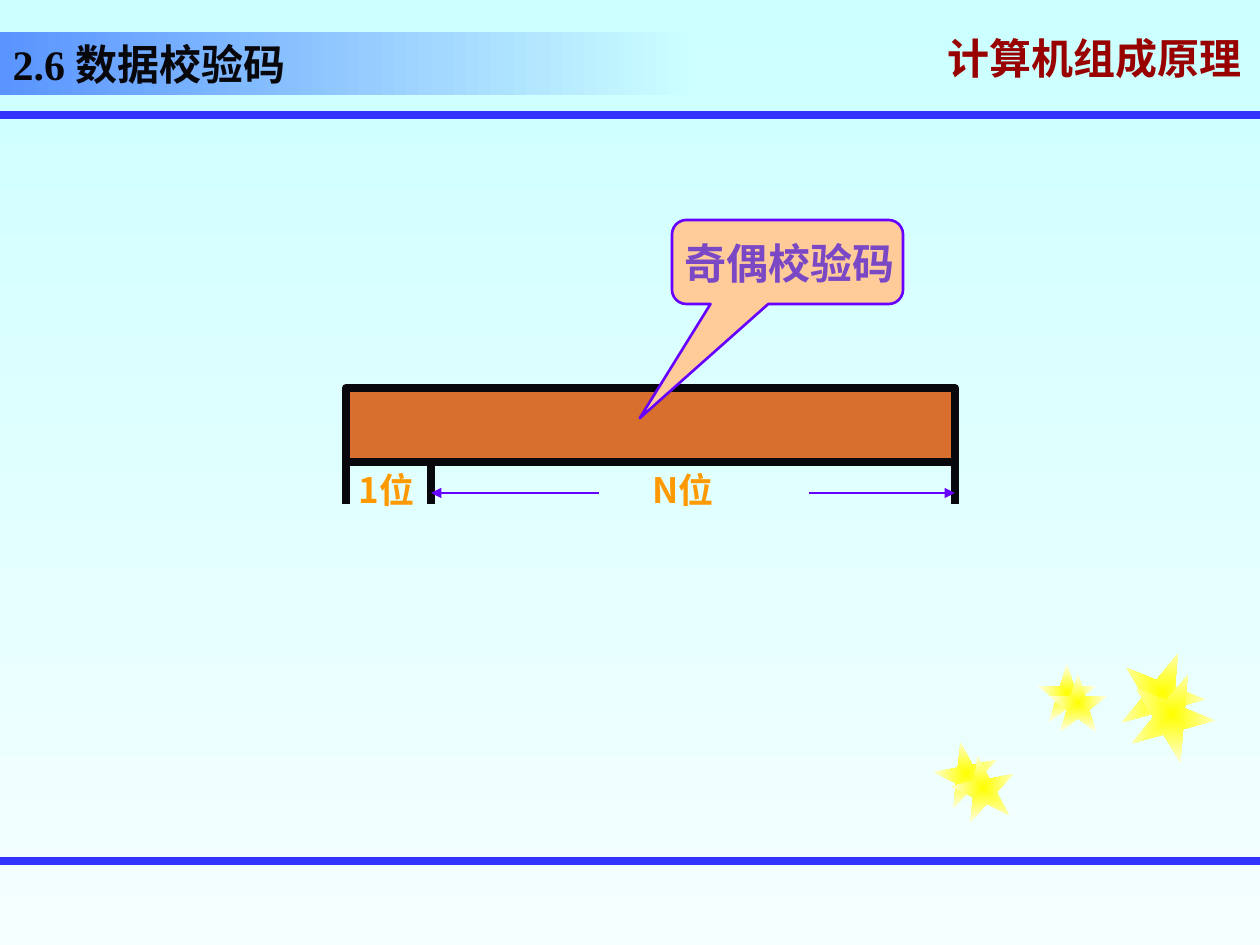
from dataclasses import dataclass

from lxml import etree
from pptx import Presentation
from pptx import util as u
from pptx.dml.color import RGBColor
from pptx.enum import shapes, text
from pptx.oxml.ns import qn

PX = 914400 / 126
WIDTH, HEIGHT = 1260, 945
TITLE_ONLY = 5

CJK, LATIN = "Noto Sans CJK SC", "Times New Roman"
INK = RGBColor(0x08, 0x08, 0x0C)
BLUE = RGBColor(0x33, 0x33, 0xFF)
VIOLET = RGBColor(0x66, 0x00, 0xFF)
PURPLE = RGBColor(0x7A, 0x48, 0xC4)
ORANGE = RGBColor(0xFF, 0x99, 0x00)
DARK_RED = RGBColor(0x99, 0x00, 0x00)
RUST = RGBColor(0xD8, 0x6F, 0x2E)
PEACH = RGBColor(0xFF, 0xCC, 0x99)
SKY = RGBColor(0xCC, 0xFF, 0xFF)
PALE_SKY = RGBColor(0xF5, 0xFF, 0xFF)
BANNER_BLUE = RGBColor(0x59, 0x94, 0xFF)
YELLOW = RGBColor(0xFF, 0xFF, 0x00)
CREAM = RGBColor(0xFF, 0xFF, 0xE9)


@dataclass(frozen=True)
class Area:
    left: int
    top: int
    width: int
    height: int

    def emu(self) -> list[u.Emu]:
        return [px(n) for n in (self.left, self.top, self.width, self.height)]


@dataclass(frozen=True)
class Line:
    x1: int
    y1: int
    x2: int
    y2: int
    color: RGBColor = INK
    weight: float = 4.5
    arrow: bool = False


@dataclass(frozen=True)
class Label:
    words: str
    area: Area
    size: int
    color: RGBColor
    font: str = CJK


@dataclass(frozen=True)
class StarPair:
    """Two equal stars, the second moved by (dx, dy)."""
    left: int
    top: int
    size: int
    dx: int
    dy: int
    rotation: int = 0


RULES = [Line(0, y, WIDTH, y, BLUE) for y in (115, 861)]
STARS = [
    StarPair(935, 742, 63, 17, 14, 349),
    StarPair(1038, 664, 58, 11, 10),
    StarPair(1120, 651, 84, 10, 21, 22),
]
WORD_BAR = Area(346, 388, 609, 74)
CALLOUT = Area(672, 220, 231, 84)
DIMENSIONS = [
    Line(431, 388, 431, 462),
    Line(431, 431, 431, 504),
    Line(955, 441, 955, 504),
    Line(346, 441, 346, 504),
    Line(809, 493, 955, 493, VIOLET, 1.5, arrow=True),
    Line(599, 493, 431, 493, VIOLET, 1.5, arrow=True),
]
BIT_LABELS = [
    Label("N位", Area(640, 462, 147, 55), 20, ORANGE),
    Label("1位", Area(346, 462, 147, 55), 20, ORANGE),
]
COURSE = Label("计算机组成原理", Area(935, 32, 325, 63), 24, DARK_RED)
CALLOUT_LABEL = Label("奇偶校验码", Area(672, 231, 273, 63), 24, PURPLE, LATIN)


def px(n: int) -> u.Emu:
    return u.Emu(round(n * PX))


def paint_gradient(fill, first: RGBColor, last: RGBColor, angle: int = 0) -> None:
    fill.gradient()
    fill.gradient_angle = angle
    for stop, color, position in zip(fill.gradient_stops, (first, last), (0, 1)):
        stop.color.rgb = color
        stop.position = position


def add_span(para, words: str, size: int, color: RGBColor, font: str):
    span = para.add_run()
    span.text = words
    span.font.size = u.Pt(size)
    span.font.bold = True
    span.font.color.rgb = color
    span.font.name = font
    latin = span.font._element.find(qn("a:latin"))
    east_asian = etree.Element(qn("a:ea"), typeface=CJK)
    latin.addnext(east_asian)
    return span


def add_text_shadow(span) -> None:
    effects = etree.Element(qn("a:effectLst"))
    shadow = etree.SubElement(effects, qn("a:outerShdw"),
                              dist="17961", dir="2700000", algn="ctr")
    etree.SubElement(shadow, qn("a:srgbClr"), val="808080")
    span.font._element.find(qn("a:solidFill")).addnext(effects)


def add_label(page, label: Label):
    box = page.shapes.add_textbox(*label.area.emu())
    frame = box.text_frame
    frame.word_wrap = True
    frame.auto_size = text.MSO_AUTO_SIZE.SHAPE_TO_FIT_TEXT
    add_span(frame.paragraphs[0], label.words, label.size, label.color, label.font)
    return box


def add_line(page, line: Line) -> None:
    connector = page.shapes.add_connector(
        shapes.MSO_CONNECTOR.STRAIGHT,
        px(line.x1), px(line.y1), px(line.x2), px(line.y2))
    connector.line.color.rgb = line.color
    connector.line.width = u.Pt(line.weight)
    if line.arrow:
        etree.SubElement(connector.line._get_or_add_ln(), qn("a:tailEnd"), type="triangle")
    etree.SubElement(connector._element.spPr, qn("a:effectLst"))


def add_panel(page, kind, area: Area, fill: RGBColor, border: RGBColor, weight: float):
    panel = page.shapes.add_shape(kind, *area.emu())
    panel.shadow.inherit = False
    panel.fill.solid()
    panel.fill.fore_color.rgb = fill
    panel.line.color.rgb = border
    panel.line.width = u.Pt(weight)
    return panel


def add_star(page, left: int, top: int, size: int, rotation: int) -> None:
    star = page.shapes.add_shape(
        shapes.MSO_SHAPE.STAR_5_POINT, *Area(left, top, size, size).emu())
    star.rotation = rotation
    star.shadow.inherit = False
    star.line.fill.background()
    paint_gradient(star.fill, YELLOW, CREAM)
    linear = star._element.spPr.find(qn("a:gradFill")).find(qn("a:lin"))
    glow = etree.Element(qn("a:path"), path="rect")
    etree.SubElement(glow, qn("a:fillToRect"), l="50000", t="50000", r="50000", b="50000")
    linear.getparent().replace(linear, glow)


def format_title(title) -> None:
    title.left, title.top, title.width, title.height = Area(0, 32, 693, 63).emu()
    paint_gradient(title.fill, BANNER_BLUE, SKY)
    frame = title.text_frame
    frame.auto_size = text.MSO_AUTO_SIZE.NONE
    frame.vertical_anchor = text.MSO_ANCHOR.BOTTOM
    para = frame.paragraphs[0]
    para.alignment = text.PP_ALIGN.LEFT
    add_span(para, "2.6 ", 24, INK, LATIN)
    add_span(para, "数据校验码", 24, INK, CJK)


def main() -> None:
    deck = Presentation()
    deck.slide_width, deck.slide_height = px(WIDTH), px(HEIGHT)
    page = deck.slides.add_slide(deck.slide_layouts[TITLE_ONLY])
    paint_gradient(page.background.fill, SKY, PALE_SKY, angle=270)
    format_title(page.shapes.title)

    course = add_label(page, COURSE).text_frame
    course.auto_size = text.MSO_AUTO_SIZE.NONE
    course.vertical_anchor = text.MSO_ANCHOR.MIDDLE
    course.paragraphs[0].line_spacing = 0.7
    add_text_shadow(course.paragraphs[0].runs[0])

    for rule in RULES:
        add_line(page, rule)
    for pair in STARS:
        for step in (0, 1):
            add_star(page, pair.left + step * pair.dx, pair.top + step * pair.dy,
                     pair.size, pair.rotation)

    for line in DIMENSIONS:
        add_line(page, line)
    for label in BIT_LABELS:
        add_label(page, label)
    add_panel(page, shapes.MSO_SHAPE.RECTANGLE, WORD_BAR, RUST, INK, 4.5)
    callout = add_panel(page, shapes.MSO_SHAPE.ROUNDED_RECTANGULAR_CALLOUT,
                        CALLOUT, PEACH, VIOLET, 1.5)
    for i, value in enumerate((-0.64, 1.86, 0.17)):
        callout.adjustments[i] = value
    add_label(page, CALLOUT_LABEL)
    deck.save("out.pptx")


if __name__ == "__main__":
    main()
